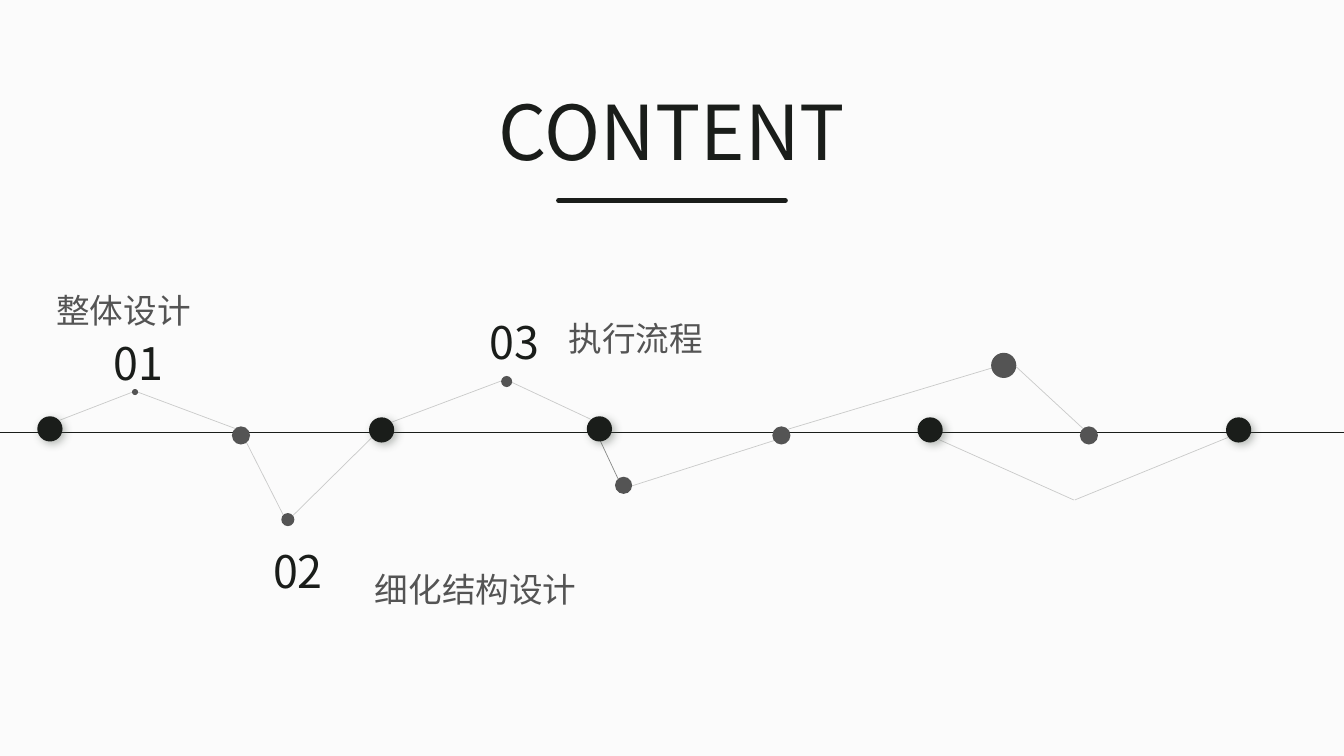
from lxml import etree
from pptx import Presentation
from pptx.dml.color import RGBColor
from pptx.enum.shapes import MSO_CONNECTOR, MSO_SHAPE
from pptx.enum.text import MSO_ANCHOR, MSO_AUTO_SIZE, PP_ALIGN
from pptx.oxml.ns import qn
from pptx.util import Inches, Pt

STRAIGHT, OVAL, TOP = MSO_CONNECTOR.STRAIGHT, MSO_SHAPE.OVAL, MSO_ANCHOR.TOP
LEFT, CENTER = PP_ALIGN.LEFT, PP_ALIGN.CENTER
GROW = MSO_AUTO_SIZE.SHAPE_TO_FIT_TEXT

THEME = {
    "font": "Noto Sans CJK SC",
    "paper": "FBFBFB", "ink": "1A1D1A", "grey": "545454", "shadow": "505950",
    "title": 54, "number": 32, "label": 24,
    "rule": 3.5, "axis": 0.75, "link": 0.5,
}

# The slide is a grid of 1333 columns by 750 rows of square cells.
COLUMNS, ROWS = 1333, 750
CELL = Inches(0.01)

deck = Presentation()
deck.slide_width, deck.slide_height = COLUMNS * CELL, ROWS * CELL
slide = deck.slides.add_slide(deck.slide_layouts[5])
slide.background.fill.solid()
slide.background.fill.fore_color.rgb = RGBColor.from_string(THEME["paper"])


def write(box, area, text, size, colour, align, wrap):
    """Place a text box or placeholder on the grid and format its one line."""
    box.left, box.top, box.width, box.height = (n * CELL for n in area)
    frame = box.text_frame
    frame.text = text
    frame.word_wrap, frame.auto_size, frame.vertical_anchor = wrap, GROW, TOP
    line = frame.paragraphs[0]
    line.alignment, line.line_spacing = align, 1.0
    font = line.runs[0].font
    font.name, font.size = THEME["font"], Pt(THEME[size])
    font.color.rgb = RGBColor.from_string(THEME[colour])
    east_asian = etree.SubElement(line.runs[0]._r.get_or_add_rPr(), qn("a:ea"))
    east_asian.set("typeface", THEME["font"])


def draw_line(start, end, weight, opacity=100):
    """Draw an ink line between two grid points, opacity in percent."""
    line = slide.shapes.add_connector(STRAIGHT, *(n * CELL for n in start + end))
    line.line.width = Pt(THEME[weight])
    line.line.color.rgb = RGBColor.from_string(THEME["ink"])
    properties = line._element.spPr
    etree.SubElement(properties, qn("a:effectLst"))
    if opacity < 100:
        colour = properties.find(".//" + qn("a:srgbClr"))
        etree.SubElement(colour, qn("a:alpha"), val=str(opacity * 1000))
    return line


write(slide.shapes.title, (484, 79, 365, 101), "CONTENT", "title", "ink", CENTER, False)
title_rule = draw_line((554, 199), (779, 199), "rule")
title_rule.line._get_or_add_ln().set("cap", "rnd")
draw_line((0, 429), (COLUMNS, 429), "axis")

# Each link: start point, end point, opacity.
links = [
    ((59, 417), (134, 388), 21), ((134, 388), (233, 425), 21),
    ((244, 438), (281, 511), 21), ((290, 512), (369, 434), 21),
    ((388, 419), (497, 378), 21), ((586, 416), (507, 379), 21),
    ((591, 428), (613, 475), 51), ((768, 437), (627, 482), 21),
    ((984, 365), (781, 426), 21), ((1074, 425), (1008, 364), 21),
    ((1065, 496), (931, 436), 21), ((1218, 434), (1066, 496), 21),
]
for start, end, opacity in links:
    draw_line(start, end, "link", opacity)

# Each dot: left, top, diameter, colour; ink dots cast a shadow.
milestones = [(37, 413), (366, 414), (582, 413), (910, 414), (1216, 414)]
dots = [(left, top, 25, "ink") for left, top in milestones]
dots += [(left, 423, 18, "grey") for left in (230, 766, 1071)]
dots += [(left, top, size, "grey") for left, top, size in (
    (131, 386, 6), (279, 509, 13), (497, 373, 11), (610, 473, 17), (983, 350, 25))]
for left, top, size, colour in dots:
    dot = slide.shapes.add_shape(OVAL, left * CELL, top * CELL, size * CELL, size * CELL)
    dot.shadow.inherit = False
    dot.fill.solid()
    dot.fill.fore_color.rgb = RGBColor.from_string(THEME[colour])
    dot.line.fill.background()
    if colour == "ink":
        effects = dot._element.spPr.find(qn("a:effectLst"))
        shadow = etree.SubElement(
            effects, qn("a:outerShdw"), blurRad=str(Pt(6)), dist=str(Pt(3)),
            dir=str(45 * 60000), algn="tl", rotWithShape="0")
        tint = etree.SubElement(shadow, qn("a:srgbClr"), val=THEME["shadow"])
        etree.SubElement(tint, qn("a:alpha"), val="40000")

# Each chapter: number, its corner, heading, heading area, heading wraps.
chapters = [
    ("01", (41, 328), "整体设计", (46, 283, 362, 50), True),
    ("02", (199, 534), "细化结构设计", (362, 559, 220, 50), False),
    ("03", (414, 307), "执行流程", (554, 310, 153, 50), False),
]
for number, corner, heading, area, wrap in chapters:
    number_box = slide.shapes.add_textbox(0, 0, CELL, CELL)
    write(number_box, corner + (193, 64), number, "number", "ink", CENTER, True)
    heading_box = slide.shapes.add_textbox(0, 0, CELL, CELL)
    write(heading_box, area, heading, "label", "grey", LEFT, wrap)

deck.save("out.pptx")
